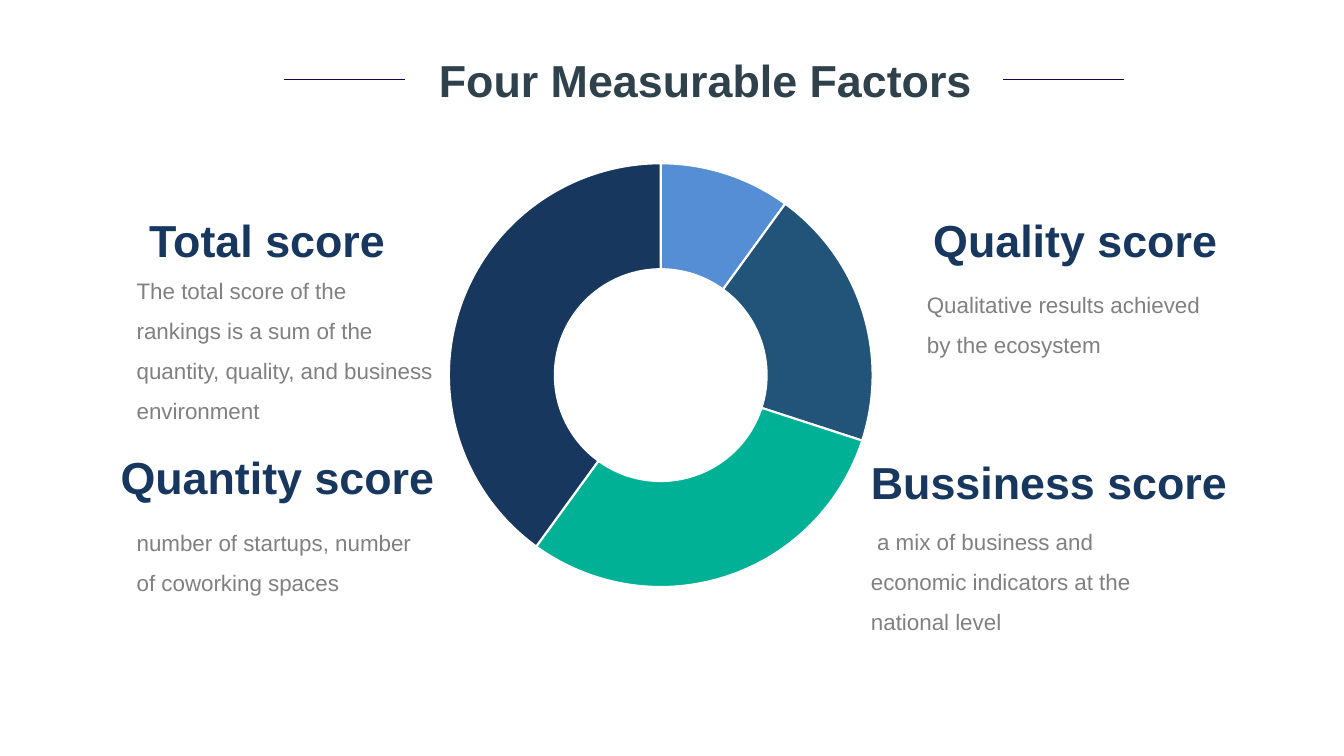
from lxml.etree import SubElement
from pptx import Presentation
from pptx.chart.data import CategoryChartData
from pptx.dml.color import RGBColor
from pptx.enum.chart import XL_CHART_TYPE
from pptx.enum.shapes import MSO_CONNECTOR
from pptx.enum.text import MSO_ANCHOR, MSO_AUTO_SIZE, PP_ALIGN
from pptx.oxml import parse_xml
from pptx.oxml.ns import nsdecls, qn
from pptx.util import Pt

NAVY, GREY, SLATE, RULE, WHITE = "17375E", "808080", "2F414B", "22004A", "FFFFFF"
SCORE_COLORS = ["558ED5", "225378", "00B196", NAVY]


def color(hex_string):
    return RGBColor.from_string(hex_string)


def write(frame, text, size=16, fill=GREY, bold=False, align=PP_ALIGN.LEFT, spacing=1.0):
    frame.word_wrap = True
    frame.auto_size = MSO_AUTO_SIZE.NONE
    frame.vertical_anchor = MSO_ANCHOR.TOP
    para = frame.paragraphs[0]
    para.alignment = align
    para.line_spacing = spacing
    span = para.add_run()
    span.text = text
    span.font.name = "Arial"
    span.font.size = Pt(size)
    span.font.bold = bold
    span.font.color.rgb = color(fill)


class FactorPage:
    heading = {"size": 32, "fill": NAVY, "bold": True}
    body = {"size": 16, "fill": GREY, "spacing": 1.5}

    def __init__(self, deck):
        self.page = deck.slides.add_slide(deck.slide_layouts[5])

    def title(self, text, left, top, width, height):
        box = self.page.shapes.title
        box.left, box.top, box.width, box.height = map(Pt, (left, top, width, height))
        write(box.text_frame, text, **{**self.heading, "fill": SLATE}, align=PP_ALIGN.CENTER)

    def text(self, text, left, top, width, height, style):
        box = self.page.shapes.add_textbox(*map(Pt, (left, top, width, height)))
        write(box.text_frame, text, **style)

    def rule(self, left, top, length):
        line = self.page.shapes.add_connector(
            MSO_CONNECTOR.STRAIGHT, Pt(left), Pt(top), Pt(left + length), Pt(top))
        line.line.color.rgb = color(RULE)
        line.line.width = Pt(0.75)
        SubElement(line._element.spPr, qn("a:effectLst"))

    def doughnut(self, values, colors, left, top, size):
        data = CategoryChartData()
        data.categories = [str(number + 1) for number in range(len(values))]
        data.add_series("Series 1", values)
        chart = self.page.shapes.add_chart(
            XL_CHART_TYPE.DOUGHNUT, *map(Pt, (left, top, size, size)), data).chart
        chart.has_title = False
        chart.has_legend = False
        chart.font.name = "Arial"
        chart.font.size = Pt(10)
        chart.font.color.rgb = color("000000")
        plot = chart.plots[0]
        plot.vary_by_categories = True
        for index, fill in enumerate(colors):
            ring_part = plot.series[0].points[index].format
            ring_part.fill.solid()
            ring_part.fill.fore_color.rgb = color(fill)
            ring_part.line.color.rgb = color(WHITE)
            ring_part.line.width = Pt(1.5)

        # Leave an even margin around the ring
        plot_area = chart._chartSpace.chart.plotArea
        for layout in plot_area.findall(qn("c:layout")):
            plot_area.remove(layout)
        plot_area.insert(0, parse_xml(
            f'<c:layout {nsdecls("c")}><c:manualLayout><c:layoutTarget val="inner"/>'
            '<c:xMode val="edge"/><c:yMode val="edge"/><c:x val="0.03"/><c:y val="0.03"/>'
            '<c:w val="0.94"/><c:h val="0.94"/></c:manualLayout></c:layout>'))


def main():
    deck = Presentation()
    deck.slide_width, deck.slide_height = Pt(960), Pt(540)
    factors = FactorPage(deck)

    # Title between two rules
    factors.title("Four Measurable Factors", 260, 34, 488, 46)
    for left in (203, 716.5):
        factors.rule(left, 57, 86.5)

    # Score ring
    factors.doughnut([10, 20, 30, 40], SCORE_COLORS, 311, 107, 322)

    # Headings and descriptions: text, left, top, width, height
    scores = [
        (("Total score", 99.5, 148.5, 194, 46),
         ("The total score of the rankings is a sum of the quantity, quality, "
          "and business environment", 90.5, 184.5, 228, 124)),
        (("Quality score", 659.5, 148.5, 228, 46),
         ("Qualitative results achieved by the ecosystem", 655, 194.5, 212, 66)),
        (("Quantity score", 79, 317.5, 239, 46),
         ("number of startups, number of coworking spaces", 90.5, 364.5, 212, 66)),
        (("Bussiness score", 615, 321, 293, 46),
         (" a mix of business and economic indicators at the national level",
          615, 364, 212, 94)),
    ]
    for heading, description in scores:
        factors.text(*heading, factors.heading)
        factors.text(*description, factors.body)

    deck.save("out.pptx")


if __name__ == "__main__":
    main()
